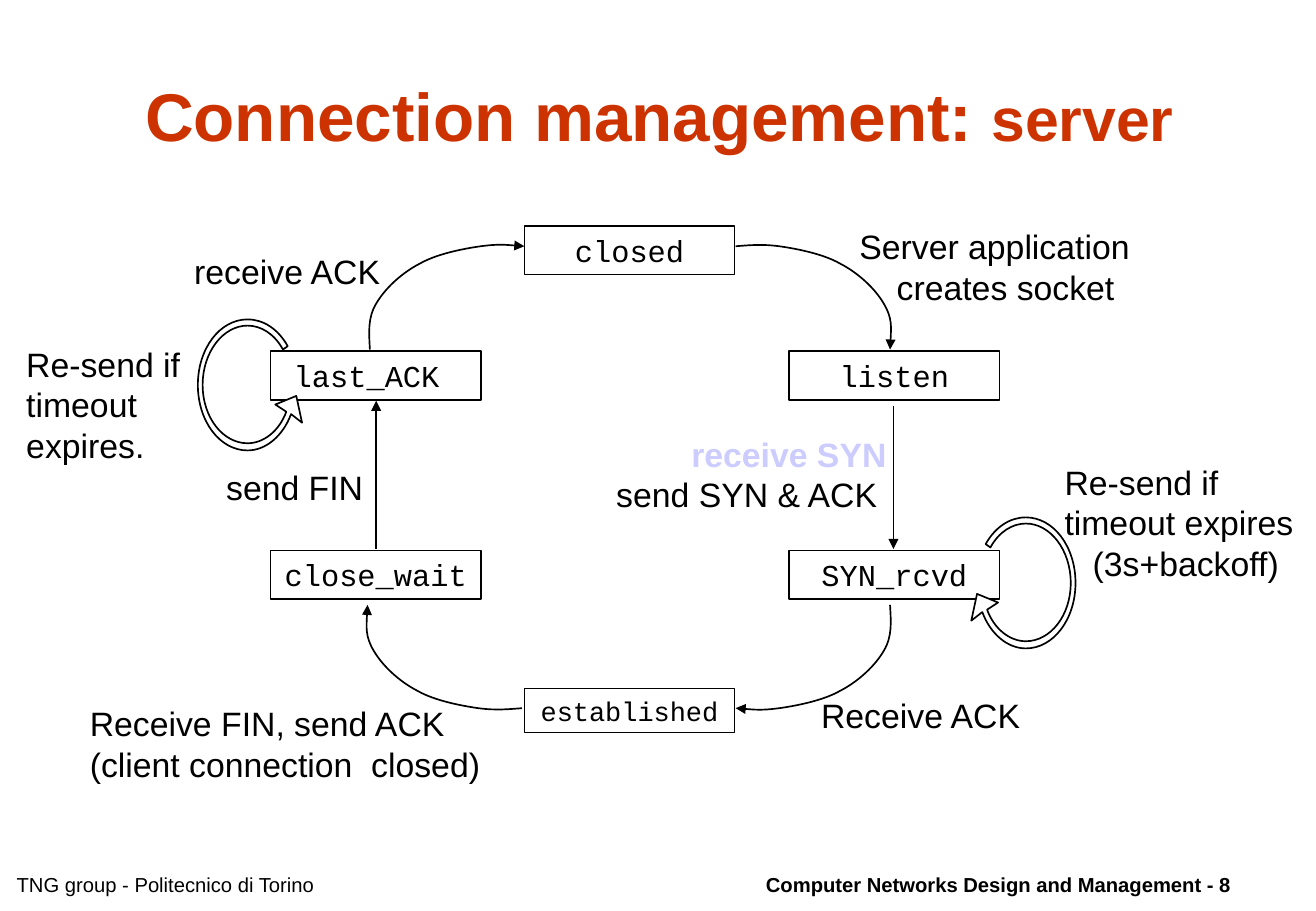
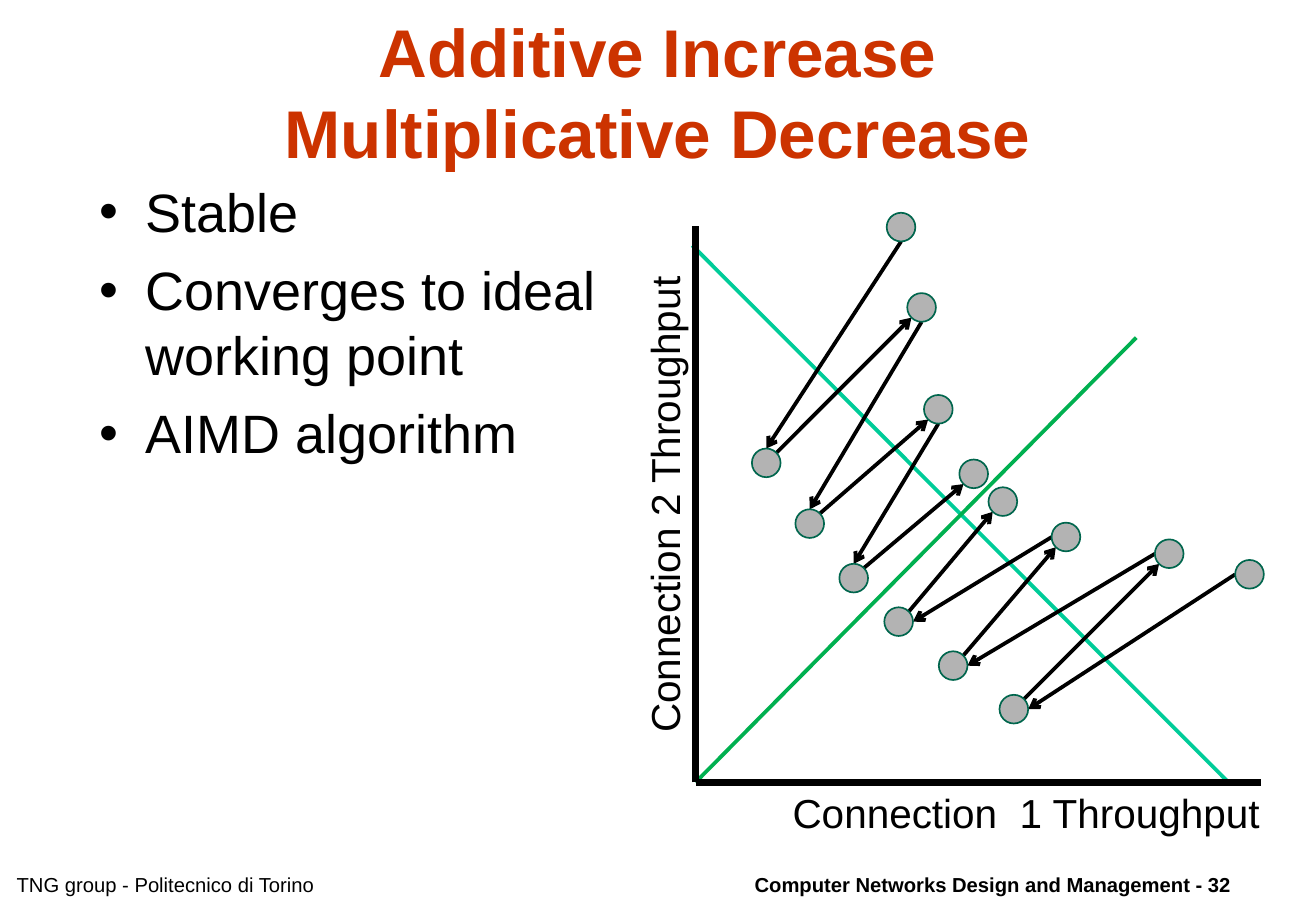
from dataclasses import dataclass
from itertools import pairwise

from lxml.etree import SubElement
from pptx import Presentation
from pptx.dml.color import RGBColor
from pptx.enum.shapes import MSO_CONNECTOR, MSO_SHAPE
from pptx.enum.text import MSO_ANCHOR, PP_ALIGN
from pptx.oxml.ns import qn
from pptx.util import Cm, Pt


@dataclass(frozen=True)
class Theme:
    text_font: str = "Arial"
    code_font: str = "Courier New"
    ink: str = "000000"
    paper: str = "FFFFFF"
    title: str = "CC3300"
    highlight: str = "CCCCFF"
    capacity: str = "00CC99"
    fairness: str = "00B050"
    dot: str = "B3B3B3"
    dot_edge: str = "00664D"
    title_size: int = 40
    subtitle_size: int = 36
    bullet_size: int = 32
    axis_size: int = 24
    label_size: int = 20
    state_size: int = 18
    small_state_size: int = 16
    footer_size: int = 12
    line_factor: float = 1.2
    thin: float = 1
    medium: float = 2.25
    thick: float = 4.5


THEME = Theme()
DOT_RADIUS = 0.3
STATE_WIDTH = 4.4

ARC = [(2.21, -4.83), (2.49, -4.85), (2.74, -4.88), (3.12, -4.83),
       (3.48, -4.78), (4.04, -4.67), (4.39, -4.47), (4.78, -4.27),
       (5.13, -3.94), (5.31, -3.63), (5.49, -3.33), (5.46, -3.02),
       (5.44, -2.67)]
LOOP = [(-0.81, 0.56), (-0.66, 0.97), (-0.33, 1.22), (0, 1.22),
        (0.51, 1.22), (0.94, 0.69), (0.94, 0),
        (0.94, -0.69), (0.51, -1.24), (0, -1.24),
        (-0.28, -1.24), (-0.56, -1.07), (-0.74, -0.74), (-0.84, -0.81),
        (-0.64, -1.17), (-0.33, -1.37), (0, -1.37),
        (0.58, -1.37), (1.04, -0.76), (1.04, 0),
        (1.04, 0.76), (0.58, 1.37), (0, 1.37),
        (-0.38, 1.37), (-0.74, 1.07), (-0.91, 0.61),
        (-1.14, 0.79), (-1.02, 0.23), (-0.58, 0.41)]


def color(value):
    return RGBColor.from_string(value)


class Deck:
    def __init__(self, theme):
        self.theme = theme
        self.presentation = Presentation()
        self.presentation.slide_width = Cm(27.53)
        self.presentation.slide_height = Cm(19.05)
        self.page = None

    def new_page(self, number):
        blank = self.presentation.slide_layouts[6]
        self.page = self.presentation.slides.add_slide(blank)
        size = self.theme.footer_size
        self.text((14.66, 18.11, 11.35, 0.76),
                  [f"Computer Networks Design and Management - {number}"],
                  size, align=PP_ALIGN.RIGHT, bold=True)
        self.text((0.1, 18.11, 11.35, 0.76),
                  ["TNG group - Politecnico di Torino"], size)

    def style(self, paragraph, size, ink=None, bold=False, font=None):
        paragraph.line_spacing = Pt(size * self.theme.line_factor)
        for span in paragraph.runs:
            span.font.size = Pt(size)
            span.font.bold = bold
            span.font.name = font or self.theme.text_font
            span.font.color.rgb = color(ink or self.theme.ink)

    def set_lines(self, frame, lines, size, align=PP_ALIGN.LEFT, **look):
        for index, line in enumerate(lines):
            paragraph = frame.add_paragraph() if index else frame.paragraphs[0]
            paragraph.text = line
            paragraph.alignment = align
            self.style(paragraph, size, **look)

    def text(self, area, lines, size, wrap=True, rotation=0, **look):
        box = self.page.shapes.add_textbox(*map(Cm, area))
        box.rotation = rotation
        box.text_frame.word_wrap = wrap
        self.set_lines(box.text_frame, lines, size, **look)
        return box.text_frame

    def title(self, area, text, ending=""):
        theme = self.theme
        frame = self.text(area, [text], theme.title_size,
                          align=PP_ALIGN.CENTER, ink=theme.title, bold=True)
        frame.vertical_anchor = MSO_ANCHOR.MIDDLE
        if ending:
            paragraph = frame.paragraphs[0]
            span = paragraph.add_run()
            span.text = ending
            self.style(paragraph, theme.title_size, theme.title, True)
            span.font.size = Pt(theme.subtitle_size)

    def label(self, area, *lines, **look):
        return self.text(area, lines, self.theme.label_size, **look)

    def indent(self, paragraph, left, first=0):
        properties = paragraph._p.get_or_add_pPr()
        properties.set("marL", str(int(Cm(left))))
        properties.set("indent", str(int(Cm(first))))
        return properties

    def bullets(self, area, lines):
        frame = self.text(area, lines, self.theme.bullet_size)
        for index, paragraph in enumerate(frame.paragraphs):
            if index:
                paragraph.space_before = Pt(8)
            properties = self.indent(paragraph, 0.97, -0.97)
            SubElement(properties, qn("a:buFont"), typeface=self.theme.text_font)
            SubElement(properties, qn("a:buChar"), char="•")

    def paint(self, shape, fill, edge):
        shape.shadow.inherit = False
        if fill:
            shape.fill.solid()
            shape.fill.fore_color.rgb = color(fill)
        else:
            shape.fill.background()
        shape.line.color.rgb = color(edge)
        shape.line.width = Pt(self.theme.thin)

    def state(self, left, top, name, height=1.02, size=None):
        theme = self.theme
        box = self.page.shapes.add_shape(
            MSO_SHAPE.RECTANGLE, *map(Cm, (left, top, STATE_WIDTH, height)))
        self.paint(box, theme.paper, theme.ink)
        box.text_frame.word_wrap = True
        box.text_frame.vertical_anchor = MSO_ANCHOR.MIDDLE
        self.set_lines(box.text_frame, [name], size or theme.state_size,
                       align=PP_ALIGN.CENTER, font=theme.code_font)

    def dot(self, x, y):
        side = Cm(2 * DOT_RADIUS)
        circle = self.page.shapes.add_shape(
            MSO_SHAPE.OVAL, Cm(x - DOT_RADIUS), Cm(y - DOT_RADIUS), side, side)
        self.paint(circle, self.theme.dot, self.theme.dot_edge)

    def arrowhead(self, shape, end, kind):
        SubElement(shape.line._get_or_add_ln(), qn(f"a:{end}"), type=kind)

    def line(self, start, finish, width, ink=None, arrow=None):
        link = self.page.shapes.add_connector(
            MSO_CONNECTOR.STRAIGHT, *map(Cm, (*start, *finish)))
        link.line.color.rgb = color(ink or self.theme.ink)
        link.line.width = Pt(width)
        if arrow:
            self.arrowhead(link, "tailEnd", arrow)
        SubElement(link._element.spPr, qn("a:effectLst"))

    def curve(self, center, points, commands, flip, fill=None):
        first, *rest = [
            tuple(Cm(middle + sign * offset)
                  for middle, sign, offset in zip(center, flip, point))
            for point in points]
        builder = self.page.shapes.build_freeform(*first, scale=1.0)
        builder.add_line_segments(rest, close=bool(fill))
        shape = builder.convert_to_shape()
        segments = iter(list(shape._element.iter(qn("a:lnTo"))))
        for command in commands:
            segment = next(segments)
            if command == "C":
                bezier = SubElement(segment.getparent(), qn("a:cubicBezTo"))
                segment.addprevious(bezier)
                for part in (segment, next(segments), next(segments)):
                    bezier.append(part[0])
                    part.getparent().remove(part)
        self.paint(shape, fill, self.theme.ink)
        return shape

    def arc(self, center, flip, end):
        shape = self.curve(center, ARC, "CCCC", flip)
        self.arrowhead(shape, end, "triangle")

    def loop(self, center, flip):
        self.curve(center, LOOP, "CCCCLCCCCLLL", flip, self.theme.paper)

    def zigzag(self, centers, leave, reach):
        diagonal = DOT_RADIUS * 0.71
        climb = ((diagonal, -diagonal), (-diagonal, diagonal))
        for index, (start, finish) in enumerate(pairwise(centers)):
            offsets = climb if index % 2 else (leave, reach)
            ends = [(x + dx, y + dy)
                    for (x, y), (dx, dy) in zip((start, finish), offsets)]
            self.line(*ends, self.theme.medium, arrow="arrow")
        for center in centers:
            self.dot(*center)


def server_page(deck):
    theme = deck.theme
    deck.new_page(8)
    deck.title((0.84, 1.45, 25.91, 1.88), "Connection management: ", "server")

    left, middle, right = 5.66, 10.97, 16.51
    upper, lower = 7.34, 11.51
    deck.state(middle, 4.72, "closed")
    deck.state(right, upper, "listen")
    deck.state(right, lower, "SYN_rcvd")
    deck.state(left, upper, "last_ACK ")
    deck.state(left, lower, "close_wait")
    deck.state(middle, 14.4, "established", 0.92, theme.small_state_size)

    deck.arc((13.18, 9.98), (-1, 1), "headEnd")
    deck.arc((13.18, 9.98), (1, 1), "tailEnd")
    deck.arc((13.18, 9.98), (1, -1), "headEnd")
    deck.arc((13.13, 9.98), (-1, -1), "tailEnd")
    deck.line((18.69, 8.48), (18.69, 11.48), theme.thin, arrow="triangle")
    deck.line((7.87, 11.48), (7.87, 8.38), theme.thin, arrow="triangle")
    deck.loop((21.46, 12.19), (1, 1))
    deck.loop((5.18, 8.05), (-1, 1))

    socket = deck.label((17.73, 4.6, 6.17, 1.93), "Server application",
                        "creates socket", wrap=False)
    deck.indent(socket.paragraphs[1], 0.78)
    handshake = deck.label((12.6, 8.94, 6.2, 1.93), "receive SYN",
                           "send SYN & ACK ", wrap=False, align=PP_ALIGN.RIGHT)
    deck.style(handshake.paragraphs[0], theme.label_size, theme.highlight, True)
    backoff = deck.label((22.02, 9.53, 5.31, 2.79), "Re-send if",
                         "timeout expires", "(3s+backoff)", wrap=False)
    deck.indent(backoff.paragraphs[2], 0.59)
    deck.label((1.63, 14.58, 8.69, 1.93), "Receive FIN, send ACK",
               "(client connection  closed)", wrap=False)
    deck.label((0.3, 7.06, 5.13, 2.79), "Re-send if timeout expires.")
    for area, text in [((16.89, 14.4, 4.9, 1.09), "Receive ACK "),
                       ((4.47, 9.63, 3.38, 1.09), "send FIN"),
                       ((3.78, 5.11, 4.62, 1.09), "receive ACK ")]:
        deck.label(area, text, wrap=False, align=PP_ALIGN.RIGHT)


def fairness_page(deck):
    theme = deck.theme
    deck.new_page(32)
    deck.title((2.06, 0.64, 23.39, 2.54),
               "Additive Increase\nMultiplicative Decrease")
    deck.bullets((1.83, 3.61, 11.84, 13.13),
                 ["Stable", "Converges to ideal working point",
                  "AIMD algorithm"])
    deck.text((16.33, 16.36, 10.29, 1.27), ["Connection  1 Throughput"],
              theme.axis_size, wrap=False)
    deck.text((8.86, 9.91, 10.06, 1.27), ["Connection 2 Throughput"],
              theme.axis_size, wrap=False, rotation=270)

    origin = (14.55, 16.36)
    deck.line((14.48, 5.13), (25.7, 16.36), theme.medium, theme.capacity)
    deck.line(origin, (23.77, 7.06), theme.medium, theme.fairness)
    deck.line(origin, (26.37, 16.36), theme.thick)
    deck.line(origin, (14.55, 4.72), theme.thick)

    deck.zigzag([(18.85, 4.75), (16.03, 9.68), (19.28, 6.43), (16.94, 10.95),
                 (19.63, 8.56), (17.86, 12.09), (20.37, 9.91)],
                leave=(0, DOT_RADIUS), reach=(0, -DOT_RADIUS))
    deck.zigzag([(26.14, 12.01), (21.21, 14.83), (24.46, 11.58),
                 (19.94, 13.92), (22.3, 11.23), (18.8, 13), (20.98, 10.49)],
                leave=(-DOT_RADIUS, 0), reach=(DOT_RADIUS, 0))


def main():
    deck = Deck(THEME)
    server_page(deck)
    fairness_page(deck)
    deck.presentation.save("out.pptx")


if __name__ == "__main__":
    main()
